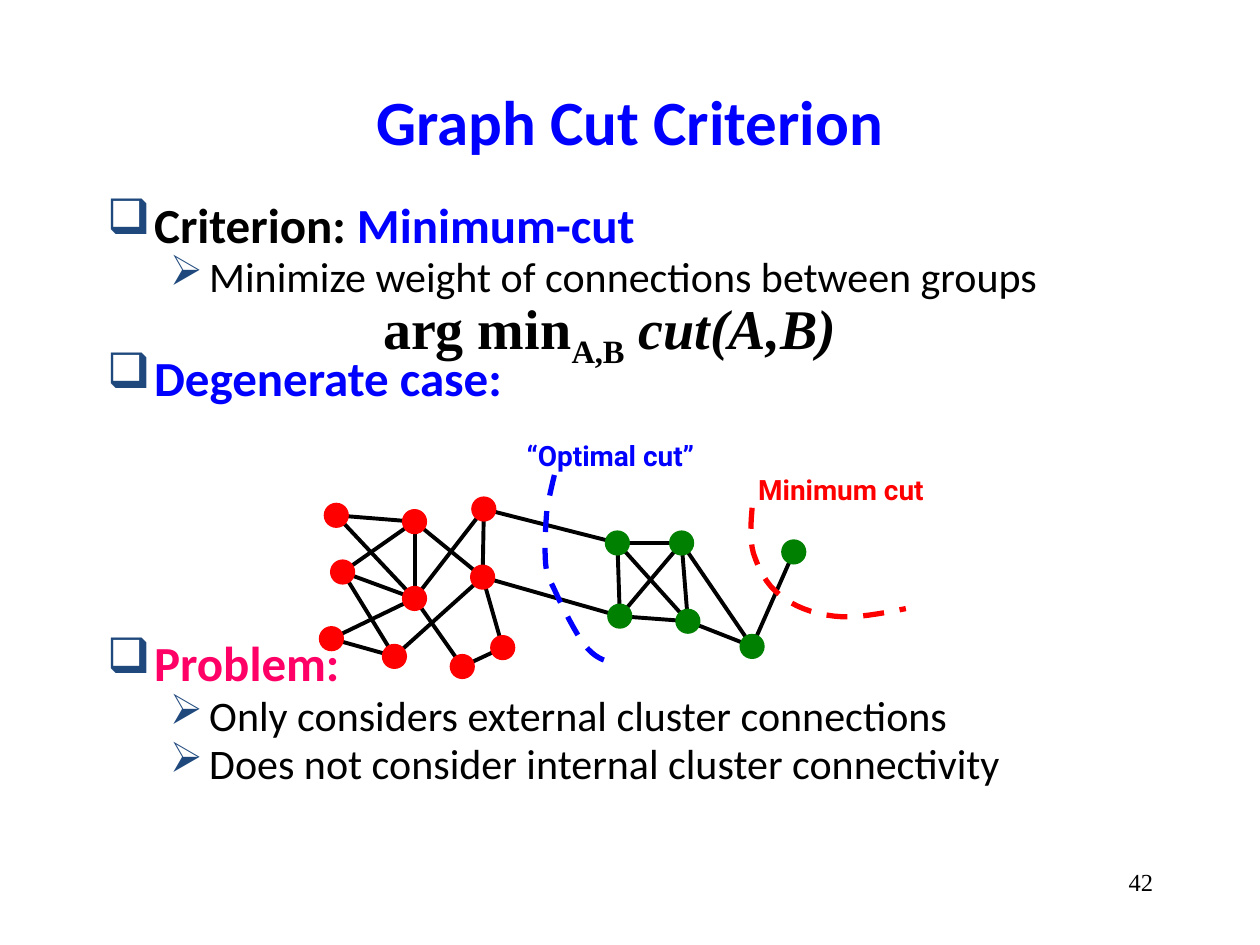
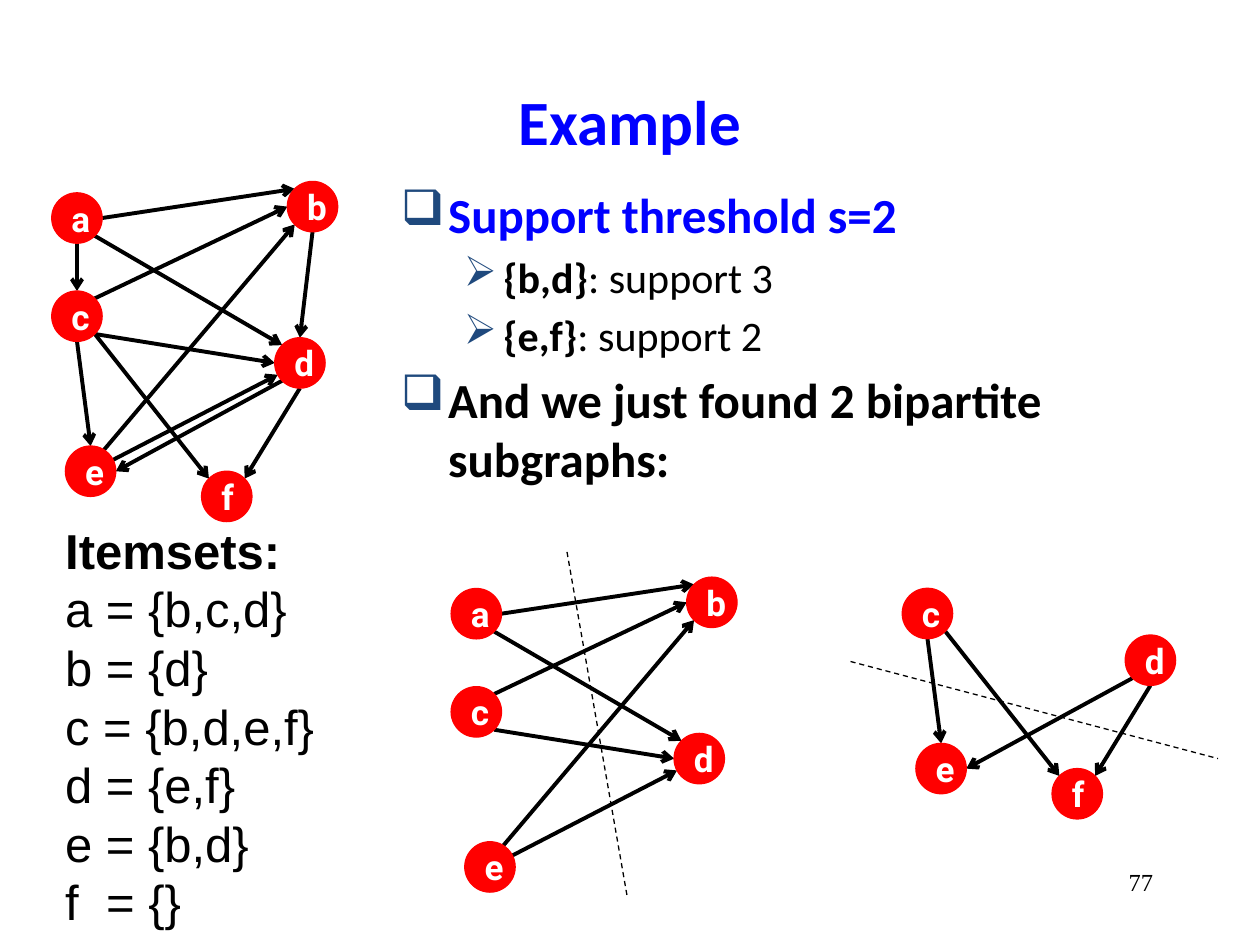
from dataclasses import dataclass
from itertools import product
from math import cos, radians, sin

from lxml.etree import SubElement
from pptx import Presentation
from pptx.dml.color import RGBColor
from pptx.enum.dml import MSO_LINE
from pptx.enum.shapes import MSO_CONNECTOR, MSO_SHAPE
from pptx.enum.text import MSO_ANCHOR, PP_ALIGN
from pptx.oxml.ns import qn
from pptx.util import Pt


@dataclass(frozen=True)
class Theme:
    blue: RGBColor = RGBColor(0x00, 0x00, 0xFF)
    red: RGBColor = RGBColor(0xFF, 0x00, 0x00)
    green: RGBColor = RGBColor(0x00, 0x80, 0x00)
    pink: RGBColor = RGBColor(0xFF, 0x00, 0x66)
    black: RGBColor = RGBColor(0x00, 0x00, 0x00)
    white: RGBColor = RGBColor(0xFF, 0xFF, 0xFF)
    bullet: str = "1F497D"
    text_font: str = "Calibri"
    serif_font: str = "Times New Roman"
    label_font: str = "Roboto"
    list_font: str = "Arial"
    title_size: int = 36
    formula_size: int = 32
    heading_size: int = 28
    point_size: int = 24
    node_size: int = 20
    label_size: int = 16
    number_size: int = 14


theme = Theme()


def add_text(slide, box, lines, font, size, color=theme.black, bold=False, align=PP_ALIGN.LEFT):
    frame = slide.shapes.add_textbox(*map(Pt, box)).text_frame
    frame.word_wrap = True
    for index, line in enumerate(lines):
        paragraph = frame.paragraphs[0] if index == 0 else frame.add_paragraph()
        paragraph.alignment = align
        paragraph.font.name = font
        paragraph.font.size = Pt(size)
        paragraph.font.color.rgb = color
        paragraph.font.bold = bold
        paragraph.add_run().text = line
    return frame


def add_line(slide, start, end, width=2.25, arrow=False, dash=None):
    link = slide.shapes.add_connector(MSO_CONNECTOR.STRAIGHT, *map(Pt, (*start, *end)))
    link.line.color.rgb = theme.black
    link.line.width = Pt(width)
    if dash:
        link.line.dash_style = dash
    if arrow:
        SubElement(link.get_or_add_ln(), qn("a:tailEnd"), type="arrow")
    SubElement(link._element.spPr, qn("a:effectLst"))


# level, space before, runs of (text, colour, bold)
cut_points = [
    (0, 0, [("Criterion: ", theme.black, True), ("Minimum-cut", theme.blue, True)]),
    (1, 4.4, [("Minimize weight of connections between groups", theme.black, False)]),
    (0, 33.4, [("Degenerate case:", theme.blue, True)]),
    (0, 136, [("Problem:", theme.pink, True)]),
    (1, 4.4, [("Only considers external cluster connections", theme.black, False)]),
    (1, 4.4, [("Does not consider internal cluster connectivity", theme.black, False)]),
]
example_points = [
    (0, 0, [("Support threshold s=2", theme.blue, True)]),
    (1, 4.4, [("{b,d}", theme.black, True), (": support 3", theme.black, False)]),
    (1, 4.4, [("{e,f}", theme.black, True), (": support 2", theme.black, False)]),
    (0, 5.6, [("And we just found 2 bipartite subgraphs:", theme.black, True)]),
]
pages = [
    ("Graph Cut Criterion", "42", (54, 114, 612, 366), 0.8, cut_points),
    ("Example", "77", (222, 102, 492, 414), 1.0, example_points),
]
bullet_levels = [
    ("❑", 27, -27, theme.heading_size),
    ("➢", 58.5, -22.5, theme.point_size),
]

presentation = Presentation()
presentation.slide_width = Pt(720)
presentation.slide_height = Pt(540)

for title, number, body_box, spacing, points in pages:
    slide = presentation.slides.add_slide(presentation.slide_layouts[6])
    heading = add_text(slide, (54, 24, 612, 90), [title], theme.text_font, theme.title_size,
                       theme.blue, True, PP_ALIGN.CENTER)
    heading.vertical_anchor = MSO_ANCHOR.MIDDLE
    add_text(slide, (516, 492, 150, 36), [number], theme.serif_font, theme.number_size,
             align=PP_ALIGN.RIGHT)

    body = slide.shapes.add_textbox(*map(Pt, body_box)).text_frame
    body.word_wrap = True
    for index, (level, before, runs) in enumerate(points):
        symbol, margin, indent, size = bullet_levels[level]
        point = body.paragraphs[0] if index == 0 else body.add_paragraph()
        point.level = level
        properties = point._p.get_or_add_pPr()
        properties.set("marL", str(Pt(margin)))
        properties.set("indent", str(Pt(indent)))
        bullet_color = SubElement(properties, qn("a:buClr"))
        SubElement(bullet_color, qn("a:srgbClr"), val=theme.bullet)
        SubElement(properties, qn("a:buChar"), char=symbol)
        point.line_spacing = spacing
        point.space_before = Pt(before)
        point.font.name = theme.text_font
        point.font.size = Pt(size)
        for words, color, bold in runs:
            run = point.add_run()
            run.text = words
            run.font.color.rgb = color
            run.font.bold = bold

cut_slide, example_slide = presentation.slides

formula = add_text(cut_slide, (196.5, 164, 304, 46), ["arg min"], theme.serif_font,
                   theme.formula_size, bold=True, align=PP_ALIGN.CENTER).paragraphs[0]
subscript = formula.add_run()
subscript.text = "A,B"
subscript._r.get_or_add_rPr().set("baseline", "-25000")
cut_term = formula.add_run()
cut_term.text = " cut(A,B)"
cut_term.font.italic = True

add_text(cut_slide, (293.8, 247, 125, 27), ["“Optimal cut”"], theme.label_font,
         theme.label_size, theme.blue, True)
add_text(cut_slide, (426.2, 266.4, 120, 27), ["Minimum cut"], theme.label_font,
         theme.label_size, theme.red, True)

red_cluster = {
    "r1": (192.2, 294.5), "r2": (236.9, 298.1), "r3": (276.5, 290.9), "r4": (195.8, 326.9),
    "r5": (236.9, 342), "r6": (275.8, 329.8), "r7": (189.4, 365), "r8": (225.4, 375.1),
    "r9": (264.2, 380.9), "r10": (287.3, 370.1),
}
green_cluster = {
    "g1": (352.8, 310.3), "g2": (389.5, 310.3), "g3": (354.2, 352.1),
    "g4": (393.1, 355), "g5": (429.8, 369.4), "g6": (453.6, 315.4),
}
connections = """
    r1-r2 r1-r5 r2-r4 r2-r5 r2-r6 r3-r5 r3-r6 r4-r5 r4-r8 r5-r7 r5-r9 r6-r8 r6-r10
    r7-r8 r9-r10 r3-g1 r6-g3 g1-g2 g1-g3 g1-g4 g2-g3 g2-g4 g2-g5 g3-g4 g4-g5 g5-g6
""".split()
vertices = red_cluster | green_cluster
for connection in connections:
    first, second = connection.split("-")
    add_line(cut_slide, vertices[first], vertices[second])

vertex_size = 14.4
for cluster, color in ((red_cluster, theme.red), (green_cluster, theme.green)):
    for x, y in cluster.values():
        vertex = cut_slide.shapes.add_shape(
            MSO_SHAPE.OVAL, Pt(x - vertex_size / 2), Pt(y - vertex_size / 2),
            Pt(vertex_size), Pt(vertex_size))
        vertex.shadow.inherit = False
        vertex.fill.solid()
        vertex.fill.fore_color.rgb = color
        vertex.line.fill.background()

# Bézier points in inches: a start, then two handles and an end per segment
minimum_cut = [
    (5.97, 4.03), (5.96, 4.15), (5.95, 4.28), (5.98, 4.39), (6.02, 4.51), (6.08, 4.64),
    (6.19, 4.72), (6.29, 4.81), (6.45, 4.87), (6.62, 4.89), (6.79, 4.91), (6.99, 4.87),
    (7.19, 4.83),
]
optimal_cut = [
    (4.4, 3.77), (4.38, 3.85), (4.36, 3.94), (4.34, 4.05), (4.33, 4.17), (4.32, 4.36),
    (4.33, 4.47), (4.34, 4.58), (4.36, 4.59), (4.41, 4.7), (4.46, 4.81), (4.57, 5.03),
    (4.64, 5.12), (4.72, 5.22), (4.79, 5.24), (4.86, 5.26),
]
steps = 8
for controls, color in ((minimum_cut, theme.red), (optimal_cut, theme.blue)):
    curve = []
    for start in range(0, len(controls) - 1, 3):
        segment = controls[start:start + 4]
        for step in range(1, steps + 1):
            t = step / steps
            weights = ((1 - t) ** 3, 3 * t * (1 - t) ** 2, 3 * t * t * (1 - t), t ** 3)
            curve.append(tuple(Pt(72 * sum(w * p[axis] for w, p in zip(weights, segment)))
                               for axis in (0, 1)))
    builder = cut_slide.shapes.build_freeform(*(Pt(72 * value) for value in controls[0]))
    builder.add_line_segments(curve, close=False)
    cut = builder.convert_to_shape()
    cut.shadow.inherit = False
    cut.fill.background()
    cut.line.color.rgb = color
    cut.line.width = Pt(3)
    cut.line.dash_style = MSO_LINE.DASH

itemsets = add_text(
    example_slide, (30.2, 293.8, 158.4, 244.8),
    ["Itemsets:", "a = {b,c,d}", "b = {d}", "c = {b,d,e,f}", "d = {e,f}", "e = {b,d}", "f\t= {}"],
    theme.list_font, theme.heading_size)
itemsets.paragraphs[0].font.bold = True
for row in itemsets.paragraphs:
    row.line_spacing = Pt(33.5)
empty_set = itemsets.paragraphs[-1]._p.get_or_add_pPr()
tab_stops = empty_set.makeelement(qn("a:tabLst"))
SubElement(tab_stops, qn("a:tab"), pos=str(Pt(23.4)), algn="l")
empty_set.find(qn("a:defRPr")).addprevious(tab_stops)

nodes = {
    "a": (44, 124.6), "b": (178.6, 118.1), "c": (44, 180.7),
    "d": (171.4, 207.4), "e": (51.8, 269.3), "f": (129.6, 283.7),
}
# angles, clockwise from the right, where each arrow leaves and arrives
arrows = {
    "ab": (0, 225), "ac": (90, 270), "ad": (45, 225), "bd": (90, 270),
    "cb": (-45, 180), "cd": (45, 180), "ce": (90, 270), "cf": (45, 225),
    "de": (135, 0), "df": (90, -45), "eb": (-58, 135), "ed": (-27, 152),
}
radius = 14.4
graphs = [
    ("abcdef", "abcdef", 0, 0),
    ("ace", "bd", 228.2, 226.1),
    ("cd", "ef", 486, 169.9),
]
for sources, targets, shift_x, shift_y in graphs:
    centers = {name: (nodes[name][0] + shift_x, nodes[name][1] + shift_y)
               for name in sorted(set(sources + targets))}
    for source, target in product(sources, targets):
        if source + target in arrows:
            ends = [(centers[name][0] + radius * cos(radians(angle)),
                     centers[name][1] + radius * sin(radians(angle)))
                    for name, angle in zip((source, target), arrows[source + target])]
            add_line(example_slide, *ends, arrow=True)
    for name, (x, y) in centers.items():
        node = example_slide.shapes.add_shape(
            MSO_SHAPE.OVAL, Pt(x - radius), Pt(y - radius), Pt(2 * radius), Pt(2 * radius))
        node.shadow.inherit = False
        node.fill.solid()
        node.fill.fore_color.rgb = theme.red
        node.line.color.rgb = theme.red
        node.line.width = Pt(0.75)
        node.text_frame.text = name
        node.text_frame.vertical_anchor = MSO_ANCHOR.MIDDLE
        letter = node.text_frame.paragraphs[0]
        letter.alignment = PP_ALIGN.CENTER
        letter.font.name = theme.label_font
        letter.font.size = Pt(theme.node_size)
        letter.font.bold = True
        letter.font.color.rgb = theme.white

for start, end in (((486, 378), (696, 433.5)), ((324, 315.4), (358.6, 513.4))):
    add_line(example_slide, start, end, width=0.75, dash=MSO_LINE.DASH)

presentation.save("out.pptx")
